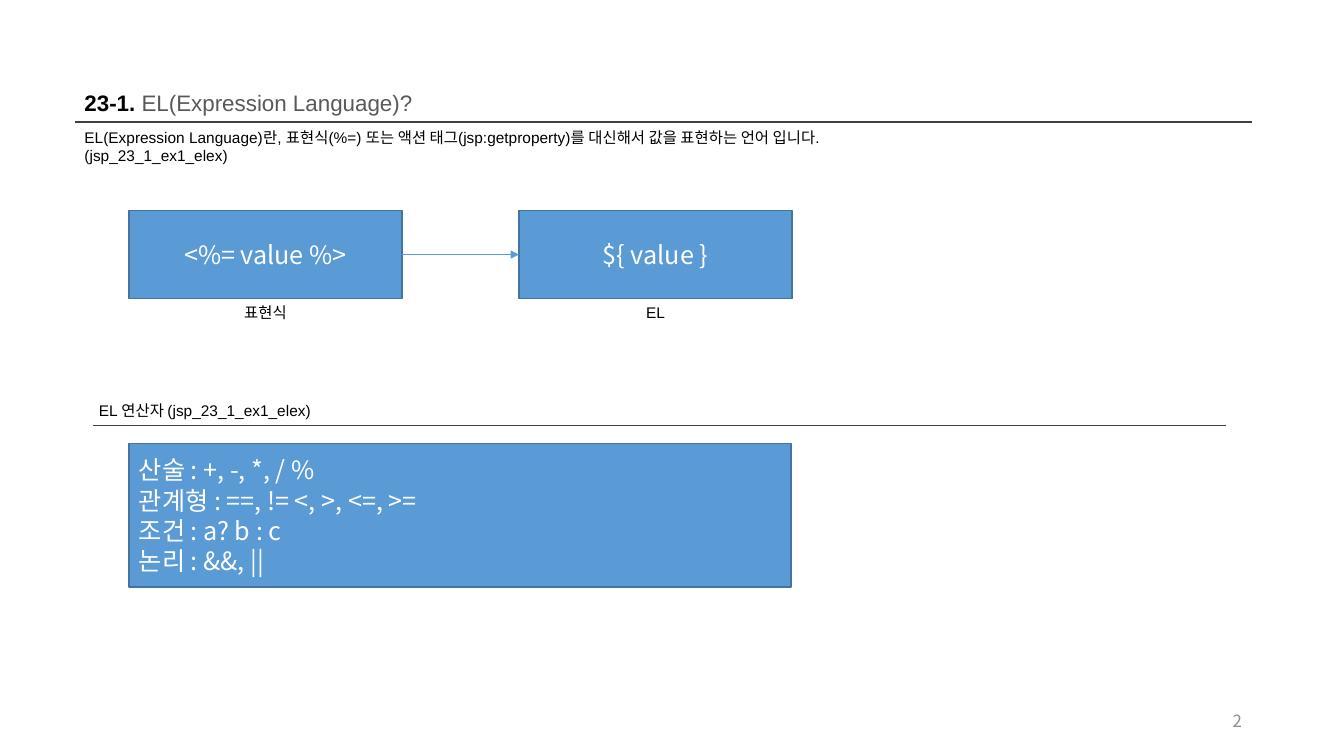
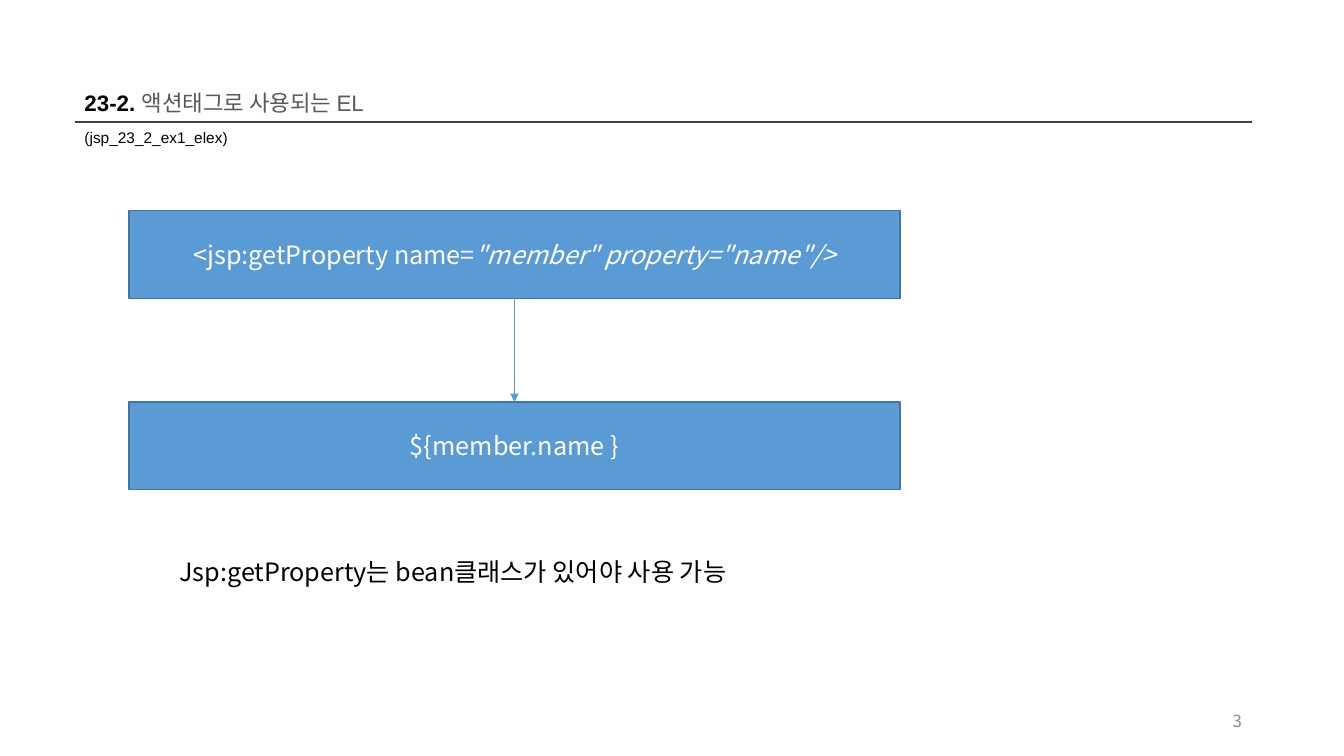
"""Build two slides that introduce the JSP expression language."""
from dataclasses import dataclass, replace

from lxml import etree
from pptx import Presentation, util as u
from pptx.dml.color import RGBColor
from pptx.enum import shapes, text
from pptx.oxml import ns

COLORS = {
    "ink": "000000", "title": "595959", "rule": "404040", "number": "8C8C8C",
    "box": "5B9BD5", "edge": "43739E", "white": "FFFFFF",
}
SANS, CJK = "Arial", "Noto Sans CJK KR"
LEFT, RIGHT = 1.88, 31.55
BOX_LEFT, BOX_TOP, BOX_H = 3.25, 5.31, 2.21
TOP, LEFT_SIDE, BOTTOM, RIGHT_SIDE = range(4)
ALIGN, ANCHOR = text.PP_ALIGN, text.MSO_ANCHOR


@dataclass(frozen=True)
class Style:
    size: float
    color: str
    font: str = SANS
    bold: bool = False
    italic: bool = False


@dataclass(frozen=True)
class Area:
    x: float
    y: float
    w: float
    h: float

    def lengths(self) -> list:
        return [u.Cm(v) for v in (self.x, self.y, self.w, self.h)]


@dataclass(frozen=True)
class Box:
    area: Area
    label: str
    italic_tail: str = ""
    caption: str = ""
    align: int = ALIGN.CENTER


@dataclass(frozen=True)
class Page:
    number: int
    section: str
    title: str
    intro: str
    intro_h: float
    flow: tuple
    sites: tuple


NUMBERING = Style(16, "ink", bold=True)
HEADING = Style(16, "title")
BODY = Style(11, "ink")
CODE = Style(18, "white", CJK)
NOTE = Style(18, "ink", CJK)
PAGE_NO = Style(12, "number", CJK)


def rgb(name: str) -> RGBColor:
    return RGBColor.from_string(COLORS[name])


def style_run(r, style: Style) -> None:
    r.font.size = u.Pt(style.size)
    r.font.name = style.font
    r.font.bold = style.bold
    r.font.italic = style.italic
    r.font.color.rgb = rgb(style.color)


def write(tf, content: str, style: Style, align: int) -> None:
    tf.text = content
    for p in tf.paragraphs:
        p.alignment = align
        for r in p.runs:
            style_run(r, style)


def append_run(tf, content: str, style: Style) -> None:
    r = tf.paragraphs[-1].add_run()
    r.text = content
    style_run(r, style)


def add_text(s, area: Area, content: str, style: Style, align: int = ALIGN.LEFT,
             grow: bool = True, wrap: bool = True):
    tf = s.shapes.add_textbox(*area.lengths()).text_frame
    tf.word_wrap = wrap
    fit = text.MSO_AUTO_SIZE
    tf.auto_size = fit.SHAPE_TO_FIT_TEXT if grow else fit.NONE
    tf.vertical_anchor = ANCHOR.TOP if grow else ANCHOR.MIDDLE
    write(tf, content, style, align)
    return tf


def add_line(s, x1: float, y1: float, x2: float, y2: float, color: str, width: float):
    ends = [u.Cm(v) for v in (x1, y1, x2, y2)]
    line = s.shapes.add_connector(shapes.MSO_CONNECTOR.STRAIGHT, *ends)
    line.line.color.rgb = rgb(color)
    line.line.width = u.Pt(width)
    etree.SubElement(line._element.spPr, ns.qn("a:effectLst"))
    return line


def add_arrow(s, start, end, sites: tuple) -> None:
    arrow = add_line(s, 0, 0, 0, 0, "box", 0.5)
    arrow.begin_connect(start, sites[0])
    arrow.end_connect(end, sites[1])
    ln = arrow.line._get_or_add_ln()
    etree.SubElement(ln, ns.qn("a:tailEnd"), type="triangle")


def add_box(s, box: Box):
    sp = s.shapes.add_shape(shapes.MSO_SHAPE.RECTANGLE, *box.area.lengths())
    sp.shadow.inherit = False
    sp.fill.solid()
    sp.fill.fore_color.rgb = rgb("box")
    sp.line.color.rgb = rgb("edge")
    sp.line.width = u.Pt(1)
    tf = sp.text_frame
    tf.word_wrap = True
    tf.vertical_anchor = ANCHOR.MIDDLE
    write(tf, box.label, CODE, box.align)
    if box.italic_tail:
        append_run(tf, box.italic_tail, replace(CODE, italic=True))
    if box.caption:
        a, w = box.area, 2.87
        under = Area(a.x + (a.w - w) / 2, a.y + a.h, w, 0.74)
        add_text(s, under, box.caption, BODY, ALIGN.CENTER)
    return sp


def add_page(prs, page: Page):
    s = prs.slides.add_slide(prs.slide_layouts[6])
    width = RIGHT - LEFT
    tf = add_text(s, Area(LEFT, 2.11, width, 0.94), page.section + " ", NUMBERING)
    append_run(tf, page.title, HEADING)
    add_text(s, Area(23.93, 17.65, 7.62, 1.02), str(page.number), PAGE_NO,
             ALIGN.RIGHT, grow=False)
    add_line(s, LEFT, 3.07, RIGHT, 3.07, "rule", 1)
    add_text(s, Area(LEFT, 3.1, width, page.intro_h), page.intro, BODY)
    start, end = [add_box(s, box) for box in page.flow]
    add_arrow(s, start, end, page.sites)
    return s


def add_operators(s) -> None:
    add_text(s, Area(2.24, 9.98, 28.65, 0.74), "EL 연산자 (jsp_23_1_ex1_elex)", BODY)
    add_line(s, 2.34, 10.72, 30.89, 10.72, "rule", 1)
    operators = (
        "산술 : +, -, *, / %",
        "관계형 : ==, != <, >, <=, >=",
        "조건 : a? b : c",
        "논리 : &&, ||",
    )
    add_box(s, Box(Area(BOX_LEFT, 11.18, 16.69, 3.61), "\n".join(operators),
                   align=ALIGN.LEFT))


EXPRESSION = Page(
    2, "23-1.", "EL(Expression Language)?",
    "EL(Expression Language)란, 표현식(%=) 또는 액션 태그(jsp:getproperty)를 "
    "대신해서 값을 표현하는 언어 입니다.\n(jsp_23_1_ex1_elex)", 1.19,
    (Box(Area(BOX_LEFT, BOX_TOP, 6.88, BOX_H), "<%= value %>", caption="표현식"),
     Box(Area(13.08, BOX_TOP, 6.88, BOX_H), "${ value }", caption="EL")),
    (RIGHT_SIDE, LEFT_SIDE),
)
ACTION_TAG = Page(
    3, "23-2.", "액션태그로 사용되는 EL", "(jsp_23_2_ex1_elex)", 0.74,
    (Box(Area(BOX_LEFT, BOX_TOP, 19.43, BOX_H), "<jsp:getProperty name=",
         '"member" property="name"/>'),
     Box(Area(BOX_LEFT, 10.13, 19.43, BOX_H), "${member.name }")),
    (BOTTOM, TOP),
)


def main() -> None:
    prs = Presentation()
    prs.slide_width, prs.slide_height = u.Cm(33.87), u.Cm(19.05)
    add_operators(add_page(prs, EXPRESSION))
    s = add_page(prs, ACTION_TAG)
    add_text(s, Area(4.27, 13.89, 15.01, 1.02),
             "Jsp:getProperty는 bean클래스가 있어야 사용 가능", NOTE, wrap=False)
    prs.save("out.pptx")


main()
